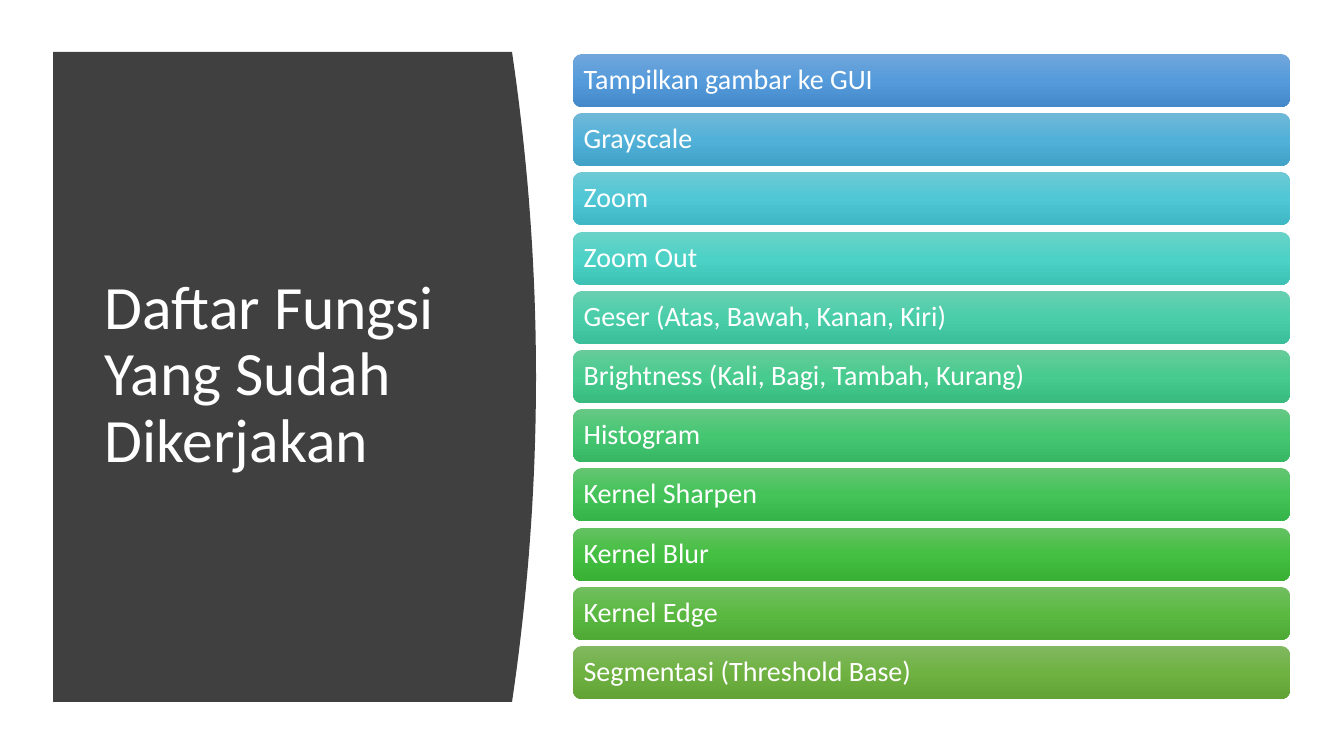
"""Build the slide listing the finished image-processing functions."""
from copy import deepcopy
from dataclasses import dataclass

from pptx import Presentation
from pptx.dml.color import RGBColor
from pptx.enum.shapes import MSO_SHAPE as Preset
from pptx.enum.text import MSO_ANCHOR as Anchor, PP_ALIGN as Align
from pptx.oxml.ns import qn
from pptx.shapes.autoshape import Shape
from pptx.slide import Slide
from pptx.util import Pt

EMU_PER_PIXEL = 914400 / 100.8
FONT = "Calibri"
WHITE = "FFFFFF"
CHARCOAL = "404040"

PANEL_LEFT, PANEL_TOP, PANEL_EDGE, PANEL_HEIGHT = 53, 52, 512, 650
PANEL_BULGE, CURVE_STEPS = 24, 40
BAR_LEFT, BAR_WIDTH, BAR_HEIGHT, BAR_INSET = 573, 717, 53, 8
FIRST_BAR_TOP, LAST_BAR_TOP = 54, 646


@dataclass(frozen=True)
class FunctionBar:
    label: str
    upper: str
    middle: str
    lower: str


BARS = [
    FunctionBar("Tampilkan gambar ke GUI", "71A6DB", "559BDB", "448ACA"),
    FunctionBar("Grayscale", "6FB8D8", "52B1D8", "42A1C7"),
    FunctionBar("Zoom", "6DCAD5", "4FC7D5", "3FB7C4"),
    FunctionBar("Zoom Out", "6BD2C8", "4CD2C6", "3DC1B5"),
    FunctionBar("Geser (Atas, Bawah, Kanan, Kiri)", "69CFB1", "4ACEAA", "3BBE9A"),
    FunctionBar("Brightness (Kali, Bagi, Tambah, Kurang)", "67CC9A", "47CB8E", "39BB7F"),
    FunctionBar("Histogram", "66C885", "45C772", "37B764"),
    FunctionBar("Kernel Sharpen", "64C571", "43C358", "35B449"),
    FunctionBar("Kernel Blur", "64C162", "44BF41", "37B034"),
    FunctionBar("Kernel Edge", "72BE61", "5BB941", "4EA935"),
    FunctionBar("Segmentasi (Threshold Base)", "81B861", "6FB242", "62A336"),
]


def px(pixels: float) -> int:
    return round(pixels * EMU_PER_PIXEL)


def color(value: str) -> RGBColor:
    return RGBColor.from_string(value)


def write(box: Shape, text: str, size: int) -> None:
    frame = box.text_frame
    frame.word_wrap = True
    frame.vertical_anchor = Anchor.MIDDLE
    para = frame.paragraphs[0]
    para.text = text
    para.alignment = Align.LEFT
    para.line_spacing = 0.9
    para.font.name = FONT
    para.font.size = Pt(size)
    para.font.color.rgb = color(WHITE)


def fill_gradient(shape: Shape, colors: list[str]) -> None:
    shape.fill.gradient()
    shape.fill.gradient_angle = 270
    stop_list = shape.element.find(f".//{qn('a:gsLst')}")
    stop_list.insert(1, deepcopy(stop_list[0]))
    for stop, position, value in zip(shape.fill.gradient_stops, (0, 0.5, 1), colors):
        stop.position = position
        stop.color.rgb = color(value)


def draw_panel(page: Slide) -> None:
    builder = page.shapes.build_freeform(px(PANEL_LEFT), px(PANEL_TOP))
    curve = []
    for step in range(CURVE_STEPS + 1):
        share = step / CURVE_STEPS
        bulge = PANEL_BULGE * (1 - (2 * share - 1) ** 2)
        curve.append((px(PANEL_EDGE + bulge), px(PANEL_TOP + PANEL_HEIGHT * share)))
    builder.add_line_segments([*curve, (px(PANEL_LEFT), px(PANEL_TOP + PANEL_HEIGHT))])
    panel = builder.convert_to_shape()
    panel.shadow.inherit = False
    panel.fill.solid()
    panel.fill.fore_color.rgb = color(CHARCOAL)
    panel.line.fill.background()


def draw_title(page: Slide) -> None:
    title = page.shapes.add_textbox(px(95), px(112), px(377), px(528))
    write(title, "Daftar Fungsi Yang Sudah Dikerjakan", 44)


def draw_bar(page: Slide, bar: FunctionBar, top: int) -> None:
    shape = page.shapes.add_shape(
        Preset.ROUNDED_RECTANGLE, px(BAR_LEFT), px(top), px(BAR_WIDTH), px(BAR_HEIGHT)
    )
    shape.shadow.inherit = False
    shape.line.fill.background()
    fill_gradient(shape, [bar.upper, bar.middle, bar.lower])
    frame = shape.text_frame
    frame.margin_left = frame.margin_right = px(BAR_INSET)
    frame.margin_top = frame.margin_bottom = px(BAR_INSET)
    write(shape, bar.label, 20)


def main() -> None:
    deck = Presentation()
    deck.slide_width, deck.slide_height = px(1344), px(756)
    page = deck.slides.add_slide(deck.slide_layouts[6])
    draw_panel(page)
    draw_title(page)
    pitch = (LAST_BAR_TOP - FIRST_BAR_TOP) / (len(BARS) - 1)
    for index, bar in enumerate(BARS):
        draw_bar(page, bar, round(FIRST_BAR_TOP + index * pitch))
    deck.save("out.pptx")


main()
